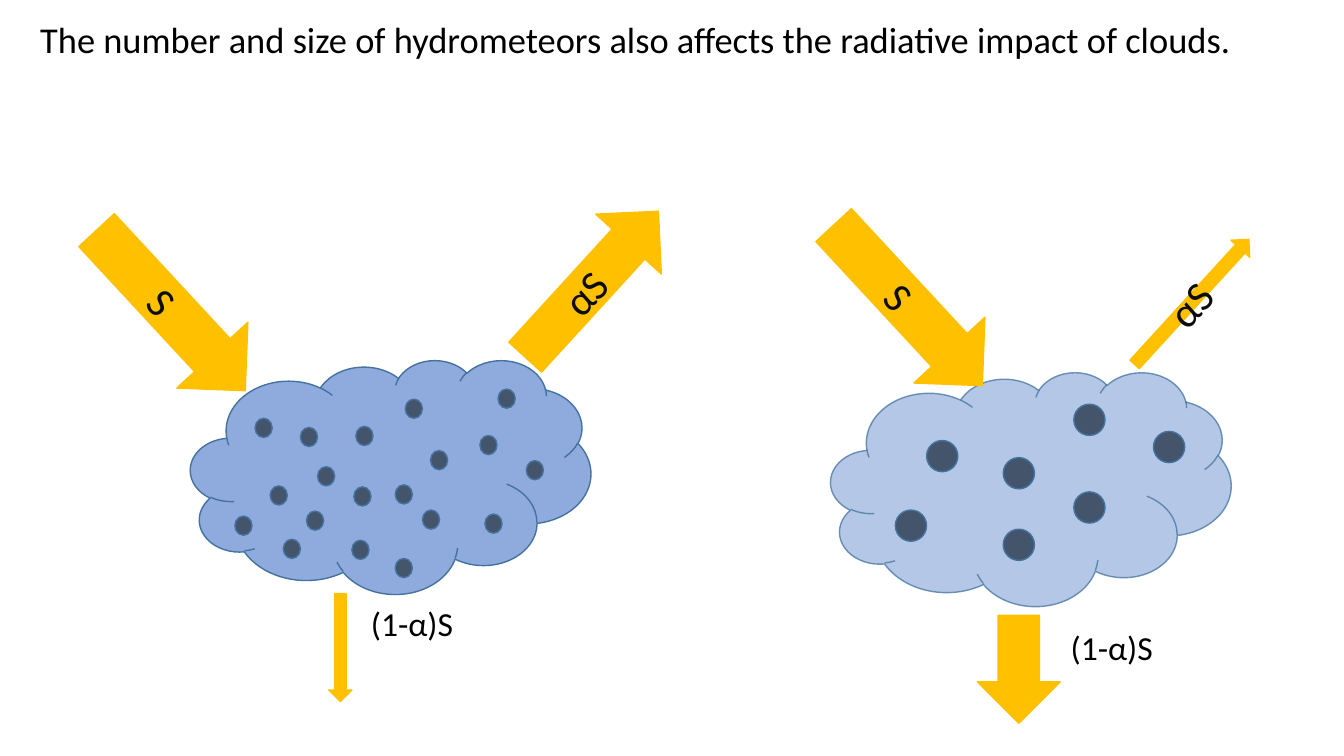
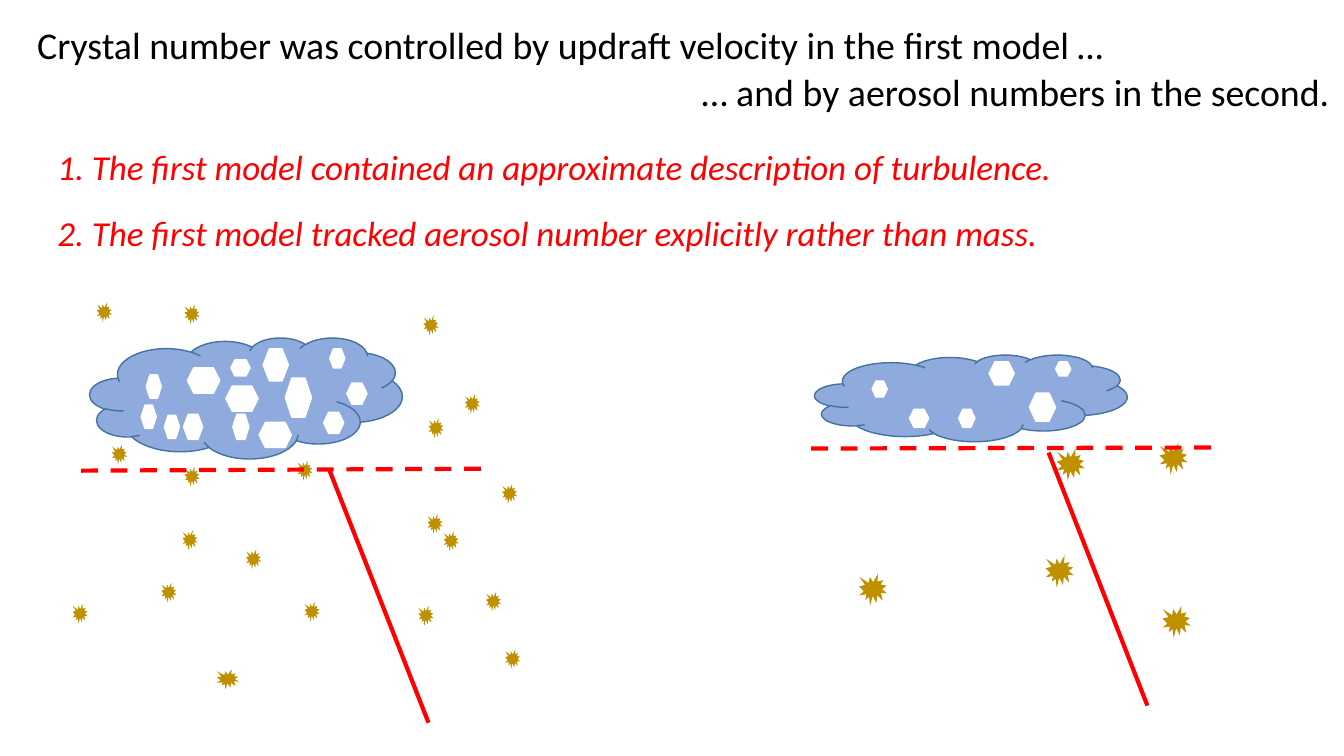
"""Builds two slides on cloud hydrometeors, radiation and aerosol."""
from dataclasses import dataclass
from typing import NamedTuple

from lxml import etree
from pptx import Presentation
from pptx.dml.color import RGBColor
from pptx.enum.dml import MSO_LINE
from pptx.enum.shapes import MSO_CONNECTOR, MSO_SHAPE
from pptx.enum.text import MSO_ANCHOR, MSO_AUTO_SIZE, PP_ALIGN
from pptx.oxml.ns import qn
from pptx.util import Inches, Pt

CLOUD = MSO_SHAPE.CLOUD
OVAL = MSO_SHAPE.OVAL
ARROW = MSO_SHAPE.RIGHT_ARROW
HEXAGON = MSO_SHAPE.HEXAGON
BURST = MSO_SHAPE.EXPLOSION1
STRAIGHT = MSO_CONNECTOR.STRAIGHT
DASH = MSO_LINE.DASH
FIT_SHAPE = MSO_AUTO_SIZE.SHAPE_TO_FIT_TEXT
CENTER = PP_ALIGN.CENTER
MIDDLE = MSO_ANCHOR.MIDDLE

FONT = "Calibri"
BLACK, INK, WHITE, RED = "000000", "0D0D0D", "FFFFFF", "FF0000"
BLUE, PALE_BLUE, EDGE = "8FAADC", "B4C7E7", "43739E"
SLATE, SUN, DUST = "44546A", "FFC000", "BF9000"
DOWN, INWARD, OUTWARD = 90, 47.2, 312.4


class Box(NamedTuple):
    """Left, top, width and height in inches."""
    left: float
    top: float
    width: float
    height: float


@dataclass(frozen=True)
class Label:
    """A line of text in its own box."""
    box: Box
    text: str
    size: int
    color: str = BLACK
    italic: bool = False
    wrap: bool = True
    italic_end: str = ""


@dataclass(frozen=True)
class Ray:
    """A block arrow for radiation, with an optional caption."""
    box: Box
    turn: float
    text: str = ""


@dataclass(frozen=True)
class Cloud:
    """A cloud with the particles inside it."""
    box: Box
    fill: str
    kind: int
    particle_fill: str
    particle_edge: str
    particles: list[Box]
    edge_alpha: int = 100


@dataclass(frozen=True)
class Rule:
    """A red line between two points."""
    start: tuple[float, float]
    end: tuple[float, float]
    dashed: bool = False


def rgb(color: str) -> RGBColor:
    """Turn a hex string into a colour."""
    return RGBColor.from_string(color)


def same_size(spots: list[tuple[float, float]], width: float, height: float) -> list[Box]:
    """Give every spot the same width and height."""
    return [Box(left, top, width, height) for left, top in spots]


def style_span(span, size: int, color: str, italic: bool = False) -> None:
    """Set the font of one run."""
    span.font.name = FONT
    span.font.size = Pt(size)
    span.font.italic = italic
    span.font.color.rgb = rgb(color)


def add_figure(shapes, kind: int, box: Box, fill: str, edge: str = ""):
    """Draw a filled preset shape, outlined when an edge colour is given."""
    figure = shapes.add_shape(kind, *map(Inches, box))
    figure.shadow.inherit = False
    figure.fill.solid()
    figure.fill.fore_color.rgb = rgb(fill)
    if edge:
        figure.line.color.rgb = rgb(edge)
        figure.line.width = Pt(1)
    else:
        figure.line.fill.background()
    return figure


def add_label(page, label: Label) -> None:
    """Draw a text box."""
    frame = page.shapes.add_textbox(*map(Inches, label.box)).text_frame
    frame.word_wrap = label.wrap
    frame.auto_size = FIT_SHAPE
    frame.text = label.text
    para = frame.paragraphs[0]
    style_span(para.runs[0], label.size, label.color, label.italic)
    if label.italic_end:
        span = para.add_run()
        span.text = label.italic_end
        style_span(span, label.size, label.color, True)


def add_ray(page, ray: Ray) -> None:
    """Draw a turned block arrow."""
    arrow = add_figure(page.shapes, ARROW, ray.box, SUN, SUN)
    arrow.rotation = ray.turn
    if ray.text:
        frame = arrow.text_frame
        frame.vertical_anchor = MIDDLE
        frame.text = ray.text
        para = frame.paragraphs[0]
        para.alignment = CENTER
        style_span(para.runs[0], 30, INK)


def add_cloud(page, cloud: Cloud) -> None:
    """Draw a cloud and its particles as one group."""
    group = page.shapes.add_group_shape()
    body = add_figure(group.shapes, CLOUD, cloud.box, cloud.fill, EDGE)
    if cloud.edge_alpha < 100:
        color = next(body.line._ln.iter(qn("a:srgbClr")))
        etree.SubElement(color, qn("a:alpha"), val=str(cloud.edge_alpha * 1000))
    for box in cloud.particles:
        add_figure(group.shapes, cloud.kind, box, cloud.particle_fill, cloud.particle_edge)


def add_rule(page, rule: Rule) -> None:
    """Draw a red line."""
    line = page.shapes.add_connector(STRAIGHT, *map(Inches, rule.start + rule.end))
    line.line.color.rgb = rgb(RED)
    line.line.width = Pt(3)
    if rule.dashed:
        line.line.dash_style = DASH
    etree.SubElement(line._element.spPr, qn("a:effectLst"))


SMALL_DROPS = same_size([
    (2.98, 4.24), (3.53, 4.23), (3.15, 4.63), (4.19, 5.06), (3.51, 4.83),
    (4.27, 4.47), (2.68, 4.82), (3.04, 5.07), (2.53, 4.15), (2.81, 5.35),
    (4.02, 3.96), (3.92, 5.54), (3.49, 5.36), (4.94, 3.86), (4.76, 4.32),
    (2.33, 5.12), (4.81, 5.1), (3.92, 4.81), (5.22, 4.57),
], 0.17, 0.19)
LARGE_DROPS = same_size([
    (9.19, 4.37), (8.88, 5.06), (10.65, 4.88), (9.95, 5.25),
    (9.95, 4.54), (10.65, 4.01), (11.44, 4.28),
], 0.31, 0.31)
DROP_CLOUDS = [
    Cloud(Box(1.89, 3.57, 3.97, 2.32), BLUE, OVAL, SLATE, EDGE, SMALL_DROPS),
    Cloud(Box(8.24, 3.69, 3.97, 2.32), PALE_BLUE, OVAL, SLATE, EDGE, LARGE_DROPS, 75),
]
RAYS = [
    Ray(Box(0.61, 2.6, 2.17, 0.96), INWARD, "S"),
    Ray(Box(4.89, 2.38, 1.96, 0.88), OUTWARD, "αS"),
    Ray(Box(2.84, 6.31, 1.07, 0.23), DOWN),
    Ray(Box(7.92, 2.55, 2.17, 0.96), INWARD, "S"),
    Ray(Box(9.57, 6.23, 1.07, 0.82), DOWN),
    Ray(Box(10.98, 2.87, 1.68, 0.25), OUTWARD, "αS"),
]
RADIATION_LABELS = [
    Label(Box(0.3, 0.12, 12.04, 0.54),
          "The number and size of hydrometeors also affects the radiative impact of clouds.",
          26, wrap=False),
    Label(Box(3.58, 5.93, 1.52, 0.52), "(1-α)S", 24),
    Label(Box(10.52, 6.17, 1.52, 0.52), "(1-α)S", 24),
]

CRYSTAL_LABELS = [
    Label(Box(0.27, 0.17, 10.91, 0.56),
          "Crystal number was controlled by updraft velocity in the first model ",
          27, wrap=False, italic_end="…"),
    Label(Box(6.86, 0.63, 6.48, 0.56), "… and by aerosol numbers in the second.", 27, wrap=False),
    Label(Box(0.47, 1.39, 12.42, 0.52),
          "1. The first model contained an approximate description of turbulence.",
          25, RED, True),
    Label(Box(0.47, 2.05, 12.42, 0.52),
          "2. The first model tracked aerosol number explicitly rather than mass.",
          25, RED, True),
]
AEROSOLS = same_size([
    (4.24, 5.1), (3.02, 5.97), (2.44, 5.45), (4.98, 4.8), (2.95, 4.57),
    (5.01, 6.44), (0.96, 3), (0.72, 5.99), (4.2, 3.13), (4.61, 3.91),
    (1.11, 4.41), (1.83, 4.63), (1.83, 3.02), (4.4, 5.27), (1.6, 5.78),
    (1.81, 5.26), (4.15, 6.01), (4.82, 5.87), (4.25, 4.15),
], 0.15, 0.2) + [Box(2.15, 6.64, 0.22, 0.2)] + same_size([
    (8.52, 5.69), (10.48, 4.45), (11.53, 6.01), (11.5, 4.39), (10.37, 5.51),
], 0.28, 0.32)
MANY_CRYSTALS = [
    Box(1.82, 4.11, 0.19, 0.25), Box(2.61, 3.46, 0.25, 0.32),
    Box(2.31, 4.11, 0.16, 0.25), Box(3.27, 3.46, 0.15, 0.19),
    Box(2.83, 3.75, 0.26, 0.39), Box(2.29, 3.57, 0.19, 0.16),
    *same_size([(1.45, 3.72), (1.4, 4.02), (1.63, 4.12)], 0.15, 0.23),
    *same_size([(1.86, 3.65), (2.24, 3.83), (2.57, 4.19)], 0.32, 0.25),
    *same_size([(3.44, 3.8), (3.21, 4.09)], 0.2, 0.21),
]
FEW_CRYSTALS = [
    Box(8.65, 3.78, 0.15, 0.16), Box(9.02, 4.06, 0.19, 0.18),
    Box(9.81, 3.59, 0.25, 0.23), Box(9.51, 4.06, 0.16, 0.18),
    Box(10.47, 3.59, 0.15, 0.14), Box(10.21, 3.9, 0.26, 0.28),
]
CRYSTAL_CLOUDS = [
    Cloud(Box(0.89, 3.35, 3.1, 1.2), BLUE, HEXAGON, WHITE, WHITE, MANY_CRYSTALS),
    Cloud(Box(8.08, 3.52, 3.1, 0.86), BLUE, HEXAGON, WHITE, WHITE, FEW_CRYSTALS),
]
RULES = [
    Rule((4.25, 7.17), (3.27, 4.67)),
    Rule((4.77, 4.65), (0.7, 4.67), True),
    Rule((11.38, 7), (10.4, 4.49)),
    Rule((12.01, 4.44), (7.94, 4.45), True),
]


def build_radiation_page(page) -> None:
    """Compare clouds of small and large drops."""
    for cloud in DROP_CLOUDS:
        add_cloud(page, cloud)
    for ray in RAYS:
        add_ray(page, ray)
    for label in RADIATION_LABELS:
        add_label(page, label)


def build_crystal_page(page) -> None:
    """Compare crystal numbers in the two models."""
    for label in CRYSTAL_LABELS:
        add_label(page, label)
    for box in AEROSOLS:
        add_figure(page.shapes, BURST, box, DUST)
    for cloud in CRYSTAL_CLOUDS:
        add_cloud(page, cloud)
    for rule in RULES:
        add_rule(page, rule)


def main() -> None:
    """Build and save the deck."""
    deck = Presentation()
    deck.slide_width, deck.slide_height = Inches(13.33), Inches(7.5)
    blank = deck.slide_layouts[6]
    for build_page in (build_radiation_page, build_crystal_page):
        build_page(deck.slides.add_slide(blank))
    deck.save("out.pptx")


if __name__ == "__main__":
    main()
